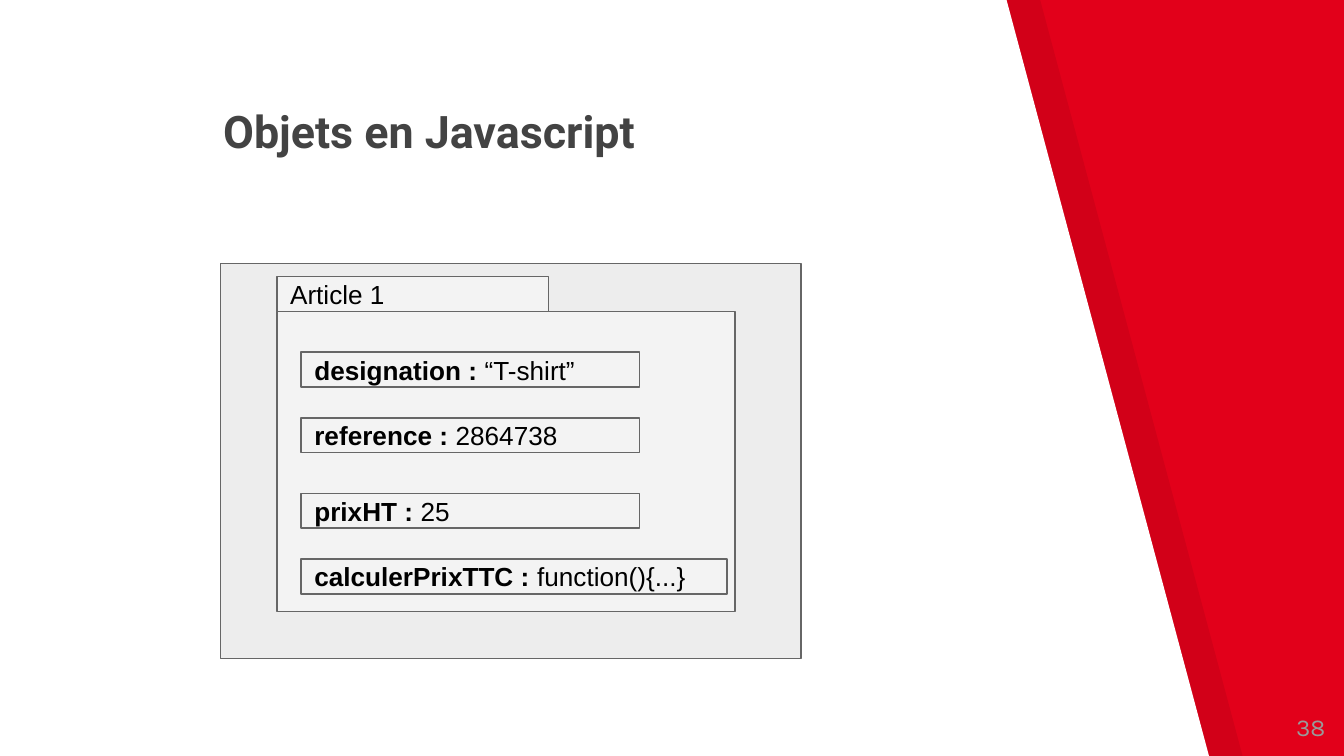
from lxml import etree
from pptx import Presentation
from pptx.dml.color import RGBColor
from pptx.enum import shapes, text
from pptx.oxml.ns import qn
from pptx.util import Inches, Pt


def paint(fill, colour, alpha=None):
    """Fill with a hex colour, with an optional opacity in percent."""
    fill.solid()
    fill.fore_color.rgb = RGBColor.from_string(colour)
    if alpha is not None:
        srgb = fill._xPr.find(".//" + qn("a:srgbClr"))
        etree.SubElement(srgb, qn("a:alpha"), val=str(alpha * 1000))


def write(shape, runs, size, font, colour, anchor, align=text.PP_ALIGN.LEFT):
    """Write (words, bold) runs as the shape's only paragraph."""
    frame = shape.text_frame
    settings = {"word_wrap": True, "auto_size": text.MSO_AUTO_SIZE.NONE,
                "vertical_anchor": anchor}
    for side in ("left", "right", "top", "bottom"):
        settings["margin_" + side] = Inches(0.1)
    for name, value in settings.items():
        setattr(frame, name, value)
    paragraph = frame.paragraphs[0]
    paragraph.alignment = align
    for words, bold in runs:
        run = paragraph.add_run()
        run.text = words
        for name, value in {"size": Pt(size), "name": font, "bold": bold}.items():
            setattr(run.font, name, value)
        run.font.color.rgb = RGBColor.from_string(colour)


prs = Presentation()
prs.slide_width = Inches(10)
prs.slide_height = prs.slide_width * 9 // 16
slide = prs.slides.add_slide(prs.slide_layouts[5])
paint(slide.background.fill, "E2001A")

# Slanted page: a translucent edge under the white area
for left, colour, alpha in ((0.25, "000000", 7), (0, "FFFFFF", None)):
    outline = slide.shapes.build_freeform(Inches(left), Inches(-0.01), scale=1.0)
    corners = ((0, 5.64), (9, 5.64), (7.49, 0))
    outline.add_line_segments([(Inches(left + x), Inches(y)) for x, y in corners])
    page = outline.convert_to_shape()
    page.shadow.inherit = False
    paint(page.fill, colour, alpha)
    page.line.fill.background()

title = slide.shapes.title
title.left, title.top = Inches(1.56), Inches(0.82)
title.width, title.height = Inches(5.87), Inches(0.45)
write(title, [("Objets en Javascript", True)], 24, "Roboto", "434343",
      text.MSO_ANCHOR.BOTTOM)
slide.shapes._spTree.append(title._element)  # in front of the white page

page_number = slide.shapes.add_textbox(Inches(9.36), Inches(5.19), Inches(0.6), Inches(0.43))
write(page_number, [("38", False)], 13, "Karla", "999999",
      text.MSO_ANCHOR.MIDDLE, text.PP_ALIGN.RIGHT)

# Object diagram: frame, body, name tab, then one row per property
boxes = [
    (1.64, 1.96, 4.32, 2.94, []),
    (2.06, 2.32, 3.41, 2.23, []),
    (2.06, 2.06, 2.02, 0.26, [("Article 1", False)]),
]
properties = [
    (2.62, 2.52, "designation :", " “T-shirt”"),
    (3.11, 2.52, "reference : ", "2864738"),
    (3.67, 2.52, "prixHT : ", "25"),
    (4.16, 3.17, "calculerPrixTTC :", " function(){...}"),
]
for top, width, key, value in properties:
    boxes.append((2.24, top, width, 0.26, [(key, True), (value, False)]))

diagram = slide.shapes.add_group_shape()
for index, (left, top, width, height, runs) in enumerate(boxes):
    box = diagram.shapes.add_shape(shapes.MSO_SHAPE.RECTANGLE, Inches(left), Inches(top),
                                   Inches(width), Inches(height))
    box.shadow.inherit = False
    if index == 0:
        paint(box.fill, "000000", 7)
    else:
        paint(box.fill, "F3F3F3")
    paint(box.line.fill, "666666")
    box.line.width = Pt(0.75)
    if runs:
        write(box, runs, 14, "Arial", "000000", text.MSO_ANCHOR.MIDDLE)

prs.save("out.pptx")
